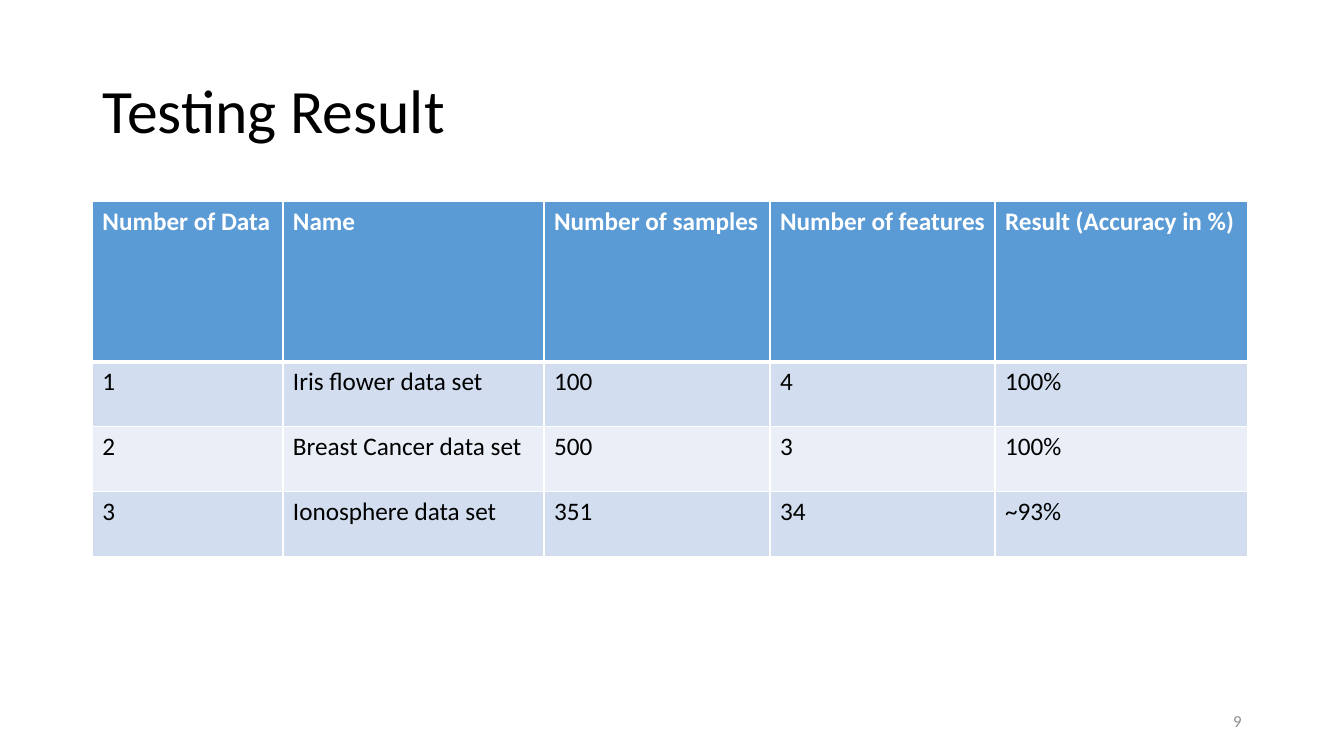
import pptx
import pptx.util
import pptx.dml.color
import pptx.enum.text
import lxml.etree
from dataclasses import dataclass

Pt = pptx.util.Pt
Align = pptx.enum.text.PP_ALIGN
Anchor = pptx.enum.text.MSO_ANCHOR


@dataclass
class Theme:
    font: str = "Calibri"
    ink: str = "000000"
    paper: str = "FFFFFF"
    head: str = "5B9BD5"
    bands: tuple = ("D2DEEF", "EAEFF7")
    muted: str = "8C8C8C"
    title: int = 44
    body: int = 18
    note: int = 12


class Deck:
    def __init__(self, theme):
        self.theme = theme
        self.file = pptx.Presentation()
        self.file.slide_width, self.file.slide_height = Pt(960), Pt(540)
        self.slide = self.file.slides.add_slide(self.file.slide_layouts[5])

    def put(self, item, values):
        for name, value in values.items():
            setattr(item, name, value)

    def color(self, code):
        return pptx.dml.color.RGBColor.from_string(code)

    def words(self, frame, text, size, code, bold=False, **style):
        line = frame.paragraphs[0]
        self.put(line, style)
        run = line.add_run()
        run.text = text
        self.put(run.font, {"name": self.theme.font, "size": Pt(size), "bold": bold})
        run.font.color.rgb = self.color(code)

    def place(self, shape, box):
        sides = ("left", "top", "width", "height")
        self.put(shape, {side: Pt(size) for side, size in zip(sides, box)})
        self.put(shape.text_frame, {
            "word_wrap": True,
            "vertical_anchor": Anchor.MIDDLE,
            "auto_size": pptx.enum.text.MSO_AUTO_SIZE.NONE,
        })

    def title(self, text, box):
        shape = self.slide.shapes.title
        self.place(shape, box)
        self.words(shape.text_frame, text, self.theme.title, self.theme.ink,
                   alignment=Align.LEFT, line_spacing=0.9)

    def label(self, text, box):
        shape = self.slide.shapes.add_textbox(*map(Pt, box))
        self.place(shape, box)
        self.words(shape.text_frame, text, self.theme.note, self.theme.muted,
                   alignment=Align.RIGHT)

    def border(self, cell, widths):
        base = "{http://schemas.openxmlformats.org/drawingml/2006/main}"
        props = cell._tc.get_or_add_tcPr()
        for side, width in widths.items():
            line = lxml.etree.SubElement(props, base + "ln" + side, w=str(Pt(width)))
            fill = lxml.etree.SubElement(line, base + "solidFill")
            lxml.etree.SubElement(fill, base + "srgbClr", val=self.theme.paper)

    def table(self, data, left, top, widths, heights):
        box = (left, top, sum(widths), sum(heights))
        grid = self.slide.shapes.add_table(len(data), len(widths), *map(Pt, box)).table
        for col, width in zip(grid.columns, widths):
            col.width = Pt(width)
        for row, height in zip(grid.rows, heights):
            row.height = Pt(height)
        for r, texts in enumerate(data):
            head = r == 0
            back = self.theme.head if head else self.theme.bands[(r - 1) % 2]
            ink = self.theme.paper if head else self.theme.ink
            lines = {"L": 1, "R": 1, "T": 3 if r == 1 else 1, "B": 3 if head else 1}
            for c, text in enumerate(texts):
                cell = grid.cell(r, c)
                self.border(cell, lines)
                cell.fill.solid()
                cell.fill.fore_color.rgb = self.color(back)
                self.words(cell.text_frame, text, self.theme.body, ink, head)


results = [
    ("Number of Data", "Name", "Number of samples", "Number of features",
     "Result (Accuracy in %)"),
    ("1", "Iris flower data set", "100", "4", "100%"),
    ("2", "Breast Cancer data set", "500", "3", "100%"),
    ("3", "Ionosphere data set", "351", "34", "~93%"),
]

deck = Deck(Theme())
deck.title("Testing Result", (66, 28.75, 828, 104.4))
deck.table(results, 66, 144, (136.1, 186.5, 161.5, 160.7, 180.4), [114.4] + [46.5] * 3)
deck.label("9", (678, 500.5, 216, 28.75))
deck.file.save("out.pptx")
